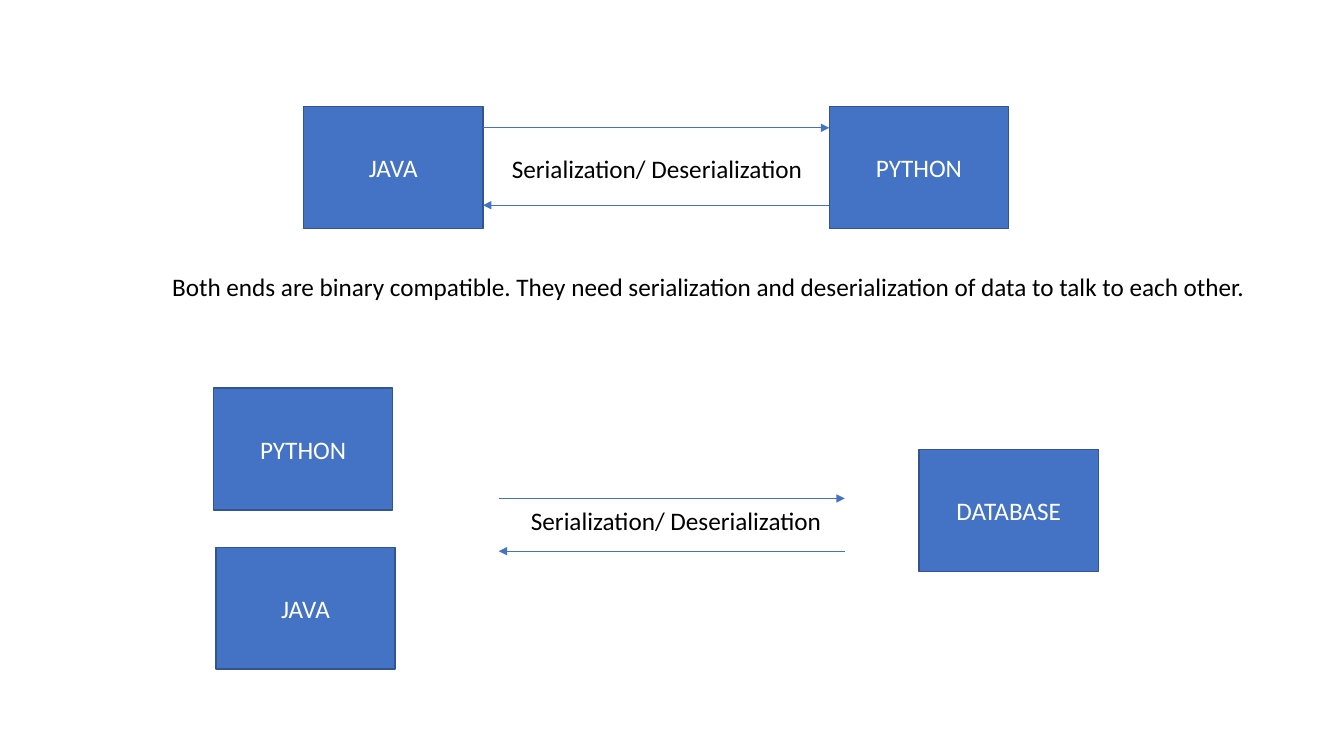
"""Build a slide on data exchange between Java, Python and a database."""
from lxml import etree
from pptx import Presentation
from pptx import util as u
from pptx.dml.color import RGBColor
from pptx.enum import shapes, text
from pptx.oxml import ns

COLORS = {"fill": "4472C4", "edge": "325491", "light": "FFFFFF", "dark": "000000"}
BOX_W, BOX_H = 4.52, 3.07
EXCHANGE = "Serialization/ Deserialization"


def color(name):
    """Return the named colour."""
    return RGBColor.from_string(COLORS[name])


def write(tf, words, ink):
    """Put one 18 pt line of text in a frame."""
    p = tf.paragraphs[0]
    p.text = words
    p.font.name, p.font.size = "Calibri", u.Pt(18)
    p.font.color.rgb = color(ink)
    return p


def add_box(s, x, y, words):
    """Add a labelled system box."""
    sp = s.shapes.add_shape(shapes.MSO_SHAPE.RECTANGLE,
                            u.Cm(x), u.Cm(y), u.Cm(BOX_W), u.Cm(BOX_H))
    sp.shadow.inherit = False
    sp.fill.solid()
    sp.fill.fore_color.rgb = color("fill")
    sp.line.color.rgb = color("edge")
    sp.line.width = u.Pt(1)
    sp.text_frame.vertical_anchor = text.MSO_ANCHOR.MIDDLE
    write(sp.text_frame, words, "light").alignment = text.PP_ALIGN.CENTER


def add_label(s, x, y, w, words):
    """Add a single-line text label."""
    tf = s.shapes.add_textbox(u.Cm(x), u.Cm(y), u.Cm(w), u.Cm(1.03)).text_frame
    tf.word_wrap = False
    tf.auto_size = text.MSO_AUTO_SIZE.SHAPE_TO_FIT_TEXT
    write(tf, words, "dark")


def add_arrow(s, x1, x2, y):
    """Add a horizontal arrow pointing from x1 to x2."""
    line = s.shapes.add_connector(shapes.MSO_CONNECTOR.STRAIGHT,
                                  u.Cm(x1), u.Cm(y), u.Cm(x2), u.Cm(y))
    line.line.color.rgb = color("fill")
    line.line.width = u.Pt(0.5)
    etree.SubElement(line.line._get_or_add_ln(), ns.qn("a:tailEnd"), type="triangle")
    etree.SubElement(line._element.spPr, ns.qn("a:effectLst"))


def add_exchange(s, left, right, top, bottom, label_x, label_y):
    """Add a pair of opposite arrows with a label between them."""
    add_arrow(s, left, right, top)
    add_arrow(s, right, left, bottom)
    add_label(s, label_x, label_y, 7.92, EXCHANGE)


def main():
    """Build and save the slide."""
    prs = Presentation()
    prs.slide_width, prs.slide_height = u.Cm(33.87), u.Cm(19.05)
    s = prs.slides.add_slide(prs.slide_layouts[6])

    java_x, python_x, top = 7.65, 20.9, 2.69
    add_box(s, java_x, top, "JAVA")
    add_box(s, python_x, top, "PYTHON")
    add_exchange(s, java_x + BOX_W, python_x, 3.22, 5.17, 12.65, 3.73)
    add_label(s, 4.09, 6.71, 28.17,
              "Both ends are binary compatible. They need serialization and "
              "deserialization of data to talk to each other.")

    add_box(s, 5.38, 9.78, "PYTHON")
    add_box(s, 5.44, 13.79, "JAVA")
    add_box(s, 23.16, 11.33, "DATABASE")
    add_exchange(s, 12.57, 21.29, 12.56, 13.89, 13.13, 12.62)

    prs.save("out.pptx")


if __name__ == "__main__":
    main()
